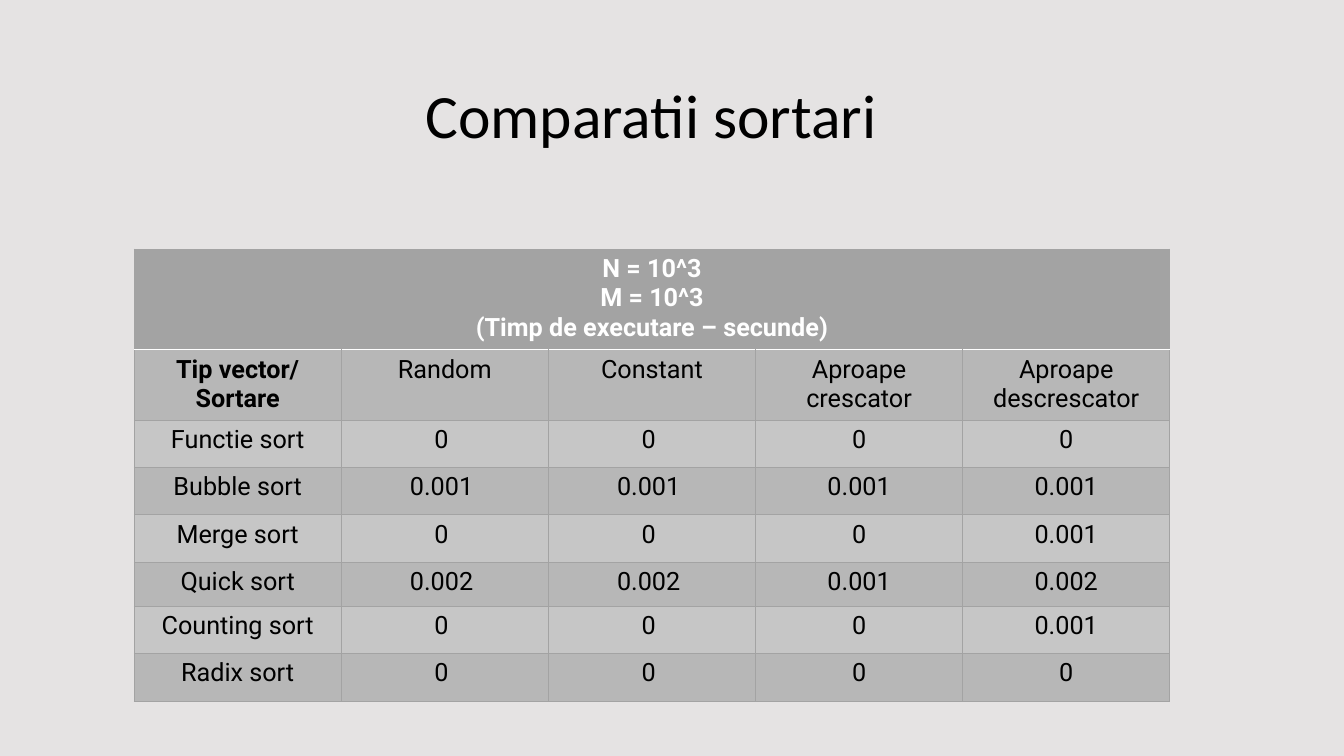
from lxml.etree import SubElement
from pptx import Presentation
from pptx.dml.color import RGBColor
from pptx.enum.text import MSO_ANCHOR, PP_ALIGN
from pptx.oxml.ns import qn
from pptx.util import Cm, Pt

BACKGROUND = RGBColor(0xE5, 0xE3, 0xE3)
HEADER_GREY = RGBColor(0xA3, 0xA3, 0xA3)
DARK_BAND = RGBColor(0xB7, 0xB7, 0xB7)
LIGHT_BAND = RGBColor(0xC6, 0xC6, 0xC6)
WHITE = RGBColor(0xFF, 0xFF, 0xFF)
BLACK = RGBColor(0, 0, 0)

ROWS = [
    ["N = 10^3\nM = 10^3\n(Timp de executare – secunde)", "", "", "", ""],
    ["Tip vector/\nSortare", "Random", "Constant", "Aproape crescator", "Aproape descrescator"],
    ["Functie sort", "0", "0", "0", "0"],
    ["Bubble sort", "0.001", "0.001", "0.001", "0.001"],
    ["Merge sort", "0", "0", "0", "0.001"],
    ["Quick sort", "0.002", "0.002", "0.001", "0.002"],
    ["Counting sort", "0", "0", "0", "0.001"],
    ["Radix sort", "0", "0", "0", "0"],
]
ROW_HEIGHTS = [2.49, 1.74, 1.19, 1.19, 1.19, 1.12, 1.19, 1.19]
COLUMN_WIDTH = 5.22


def add_border(cell, side, color, width):
    """Draw one cell edge; side is L, R, T or B."""
    line = SubElement(cell._tc.get_or_add_tcPr(), qn(f"a:ln{side}"), w=str(Pt(width)))
    fill = SubElement(line, qn("a:solidFill"))
    SubElement(fill, qn("a:srgbClr"), val=str(color))


def style_paragraph(para, font_name, size, color, bold=False):
    para.alignment = PP_ALIGN.CENTER
    para.font.name = font_name
    para.font.size = Pt(size)
    para.font.color.rgb = color
    para.font.bold = bold


deck = Presentation()
deck.slide_width, deck.slide_height = Cm(33.87), Cm(19.05)
page = deck.slides.add_slide(deck.slide_layouts[6])
page.background.fill.solid()
page.background.fill.fore_color.rgb = BACKGROUND

# Title
title = page.shapes.add_textbox(Cm(1.27), Cm(1.02), Cm(30.28), Cm(3.68)).text_frame
title.word_wrap = True
title.vertical_anchor = MSO_ANCHOR.MIDDLE
title.text = "Comparatii sortari"
style_paragraph(title.paragraphs[0], "Calibri", 44, BLACK)

# Table of running times
column_count = len(ROWS[0])
table = page.shapes.add_table(
    len(ROWS), column_count, Cm(3.38), Cm(6.27),
    Cm(COLUMN_WIDTH * column_count), Cm(sum(ROW_HEIGHTS)),
).table
for column in table.columns:
    column.width = Cm(COLUMN_WIDTH)
for row, height in zip(table.rows, ROW_HEIGHTS):
    row.height = Cm(height)
table.cell(0, 0).merge(table.cell(0, column_count - 1))

for r, texts in enumerate(ROWS):
    is_header = r == 0
    band = HEADER_GREY if is_header else DARK_BAND if r % 2 else LIGHT_BAND
    for c, text in enumerate(texts):
        cell = table.cell(r, c)
        for side in "LRTB":
            under_header = (r, side) in [(0, "B"), (1, "T")]
            add_border(cell, side, *((WHITE, 1) if under_header else (HEADER_GREY, 0.5)))
        cell.fill.solid()
        cell.fill.fore_color.rgb = band
        if r > 1 and c in (1, 2):
            cell.margin_right = Cm(0.42)
        if text:
            cell.text = text
        for para in cell.text_frame.paragraphs:
            style_paragraph(para, "Roboto", 18, WHITE if is_header else BLACK,
                            bold=is_header or (r, c) == (1, 0))

deck.save("out.pptx")
